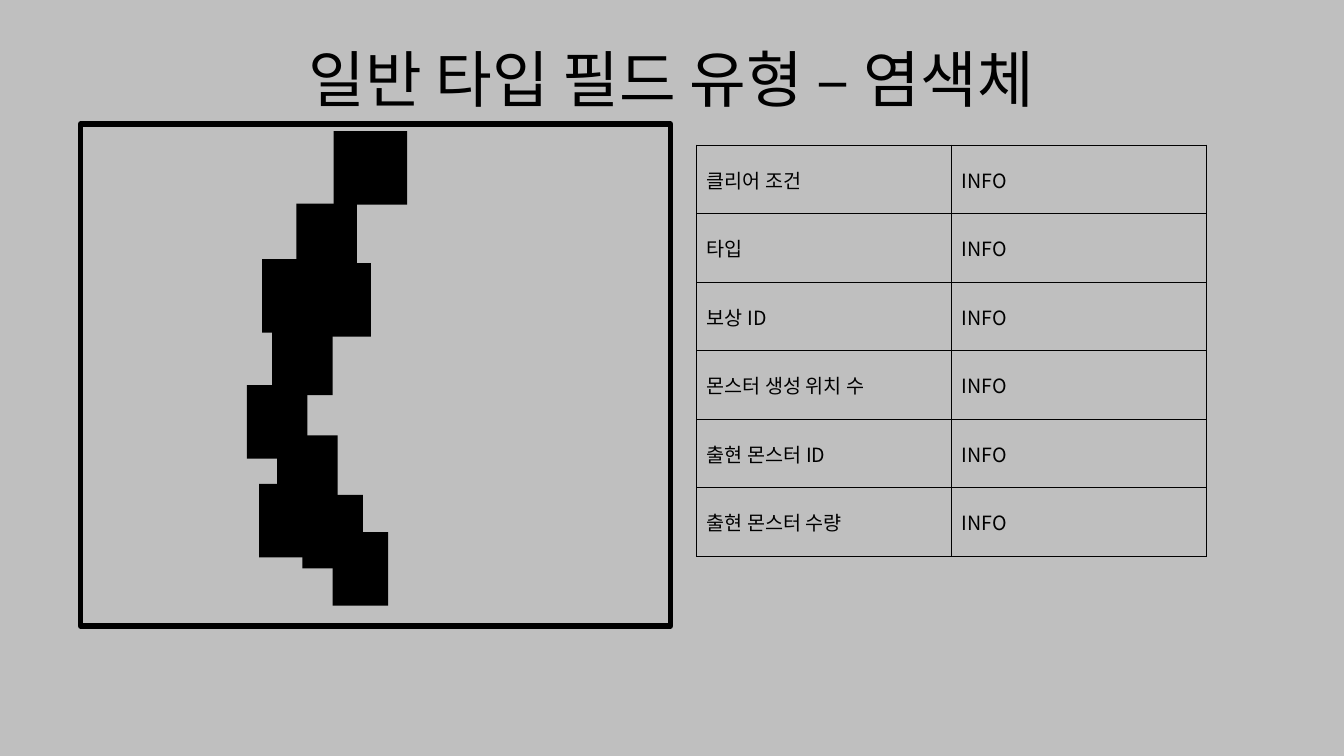
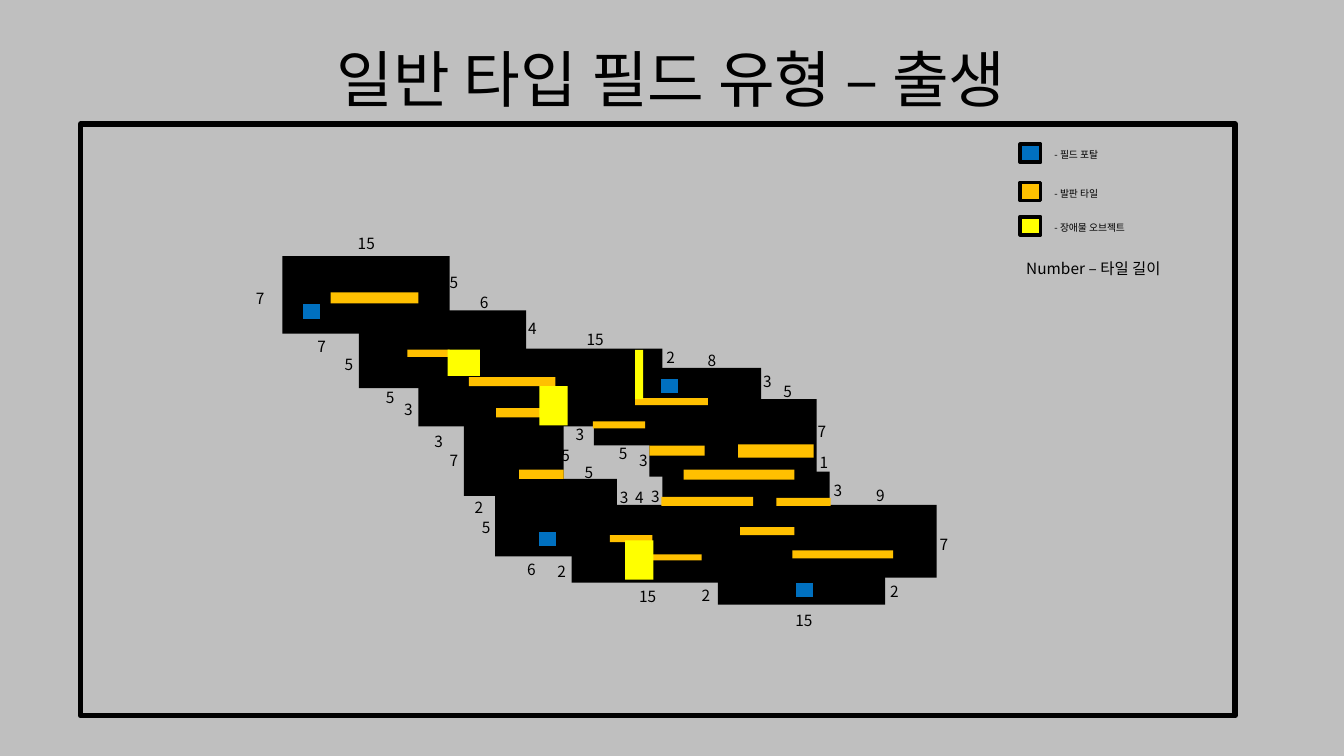
from lxml import etree
from pptx import Presentation
from pptx.dml.color import RGBColor
from pptx.enum import shapes, text
from pptx.oxml import ns
from pptx.util import Inches, Pt

FONT = "Noto Sans CJK KR"
BACKGROUND = "BFBFBF"
BLACK = "000000"
PORTAL = "0070C0"
PLATFORM = "FFC000"
OBSTACLE = "FFFF00"
PORTAL_SIZE = (0.2, 0.18)
TITLE_PREFIX = "일반 타입 필드 유형 – "

FIELD_INFO = ["클리어 조건", "타입", "보상 ID", "몬스터 생성 위치 수", "출현 몬스터 ID", "출현 몬스터 수량"]

CHROMOSOME_ROOMS = [
    (3.31, 1.3, 0.73, 0.73), (2.94, 2.02, 0.6, 0.73), (3.08, 2.61, 0.6, 0.73),
    (2.7, 3.19, 0.6, 0.73), (2.45, 3.82, 0.6, 0.73), (2.75, 4.32, 0.6, 0.73),
    (3, 4.91, 0.6, 0.73), (3.3, 5.28, 0.55, 0.73), (2.6, 2.57, 0.55, 0.73),
    (2.57, 4.8, 0.6, 0.73),
]
BIRTH_ROOMS = [
    (2.8, 2.54, 1.66, 0.77), (3.56, 3.08, 1.66, 0.77), (4.6, 4.15, 0.99, 0.77),
    (4.15, 3.46, 2.42, 0.77), (5.67, 5.01, 1.66, 0.77), (6.44, 3.96, 1.66, 0.77),
    (6.57, 4.68, 1.66, 0.77), (7.12, 5.23, 1.66, 0.77), (7.63, 5.01, 1.66, 0.72),
    (5.89, 3.65, 1.66, 0.77), (4.91, 4.75, 1.21, 0.77),
]
PLATFORMS = [
    (6.3, 3.95, 0.72, 0.07), (6.44, 4.42, 0.55, 0.1), (6.78, 4.66, 1.1, 0.1),
    (6.56, 4.93, 0.91, 0.09), (7.32, 4.41, 0.75, 0.13), (7.7, 4.94, 0.54, 0.08),
    (7.34, 5.23, 0.54, 0.08), (5.88, 4.18, 0.52, 0.07), (4.92, 4.05, 0.44, 0.09),
    (4.04, 3.47, 0.42, 0.07), (4.65, 3.74, 0.86, 0.09), (6.05, 5.31, 0.42, 0.07),
    (6.46, 5.5, 0.5, 0.06), (3.28, 2.9, 0.87, 0.11), (5.15, 4.66, 0.44, 0.09),
    (7.86, 5.46, 1, 0.08),
]
OBSTACLES = [
    (6.3, 3.47, 0.08, 0.49), (5.35, 3.83, 0.28, 0.39),
    (6.2, 5.36, 0.28, 0.39), (4.44, 3.47, 0.32, 0.26),
]
PORTALS = [(6.54, 3.74), (2.99, 3), (7.88, 5.76), (5.33, 5.26)]
LEGEND = [
    (1.43, PORTAL, "- 필드 포탈"),
    (1.81, PLATFORM, "- 발판 타일"),
    (2.15, OBSTACLE, "- 장애물 오브젝트"),
]
TILE_LENGTHS = {
    "1": [(8.03, 4.45)],
    "2": [(4.61, 4.89), (5.43, 5.53), (6.86, 5.77), (8.73, 5.73), (6.51, 3.4)],
    "3": [(3.91, 3.92), (4.21, 4.24), (8.17, 4.72), (6.36, 4.78), (6.05, 4.79),
          (6.24, 4.43), (5.61, 4.17), (7.47, 3.64)],
    "4": [(6.2, 4.79), (5.14, 3.12)],
    "5": [(4.36, 2.66), (3.32, 3.47), (3.73, 3.8), (4.68, 5.09), (5.7, 4.54),
          (6.04, 4.36), (5.47, 4.38), (7.67, 3.74)],
    "6": [(4.66, 2.86), (5.13, 5.51)],
    "7": [(2.44, 2.82), (3.05, 3.3), (4.36, 4.43), (9.22, 5.26), (8.01, 4.14)],
    "8": [(6.92, 3.43)],
    "9": [(8.59, 4.77)],
    "15": [(3.45, 2.27), (5.72, 3.23), (6.24, 5.78), (7.79, 6.01)],
}


def color(value):
    return RGBColor.from_string(value)


def add_run(paragraph, content, size):
    run = paragraph.add_run()
    run.text = content
    run.font.size = Pt(size)
    run.font.name = FONT
    run.font.color.rgb = color(BLACK)
    east_asian = etree.SubElement(run._r.get_or_add_rPr(), ns.qn("a:ea"))
    east_asian.set("typeface", FONT)


def add_text(slide, box, content, size, wrap=True):
    shape = slide.shapes.add_textbox(*map(Inches, box))
    frame = shape.text_frame
    frame.word_wrap = wrap
    add_run(frame.paragraphs[0], content, size)
    return frame


def add_title(slide, content):
    frame = add_text(slide, (0.29, 0.2, 12.74, 1.24), content, 44)
    frame.vertical_anchor = text.MSO_ANCHOR.MIDDLE
    frame.paragraphs[0].alignment = text.PP_ALIGN.CENTER
    frame.paragraphs[0].line_spacing = 0.9


def add_rectangle(slide, box, fill=None, line_width=None):
    shape = slide.shapes.add_shape(shapes.MSO_SHAPE.RECTANGLE, *map(Inches, box))
    shape.shadow.inherit = False
    if fill:
        shape.fill.solid()
        shape.fill.fore_color.rgb = color(fill)
    else:
        shape.fill.background()
    if line_width:
        shape.line.color.rgb = color(BLACK)
        shape.line.width = Pt(line_width)
    else:
        shape.line.fill.background()


def add_rectangles(slide, boxes, fill):
    for box in boxes:
        add_rectangle(slide, box, fill)


def add_marker(slide, position, fill):
    add_rectangle(slide, (*position, *PORTAL_SIZE), fill, 2.75)


def set_cell_borders(cell):
    properties = cell._tc.get_or_add_tcPr()
    for index, side in enumerate(("a:lnL", "a:lnR", "a:lnT", "a:lnB")):
        line = etree.Element(ns.qn(side), w=str(Pt(1)))
        fill = etree.SubElement(line, ns.qn("a:solidFill"))
        etree.SubElement(fill, ns.qn("a:srgbClr"), val=BLACK)
        properties.insert(index, line)


def add_info_table(slide, labels):
    box = map(Inches, (6.91, 1.44, 5.06, 0.68 * len(labels)))
    table = slide.shapes.add_table(len(labels), 2, *box).table
    table.first_row = False
    table.horz_banding = False
    for row, label in zip(table.rows, labels):
        for cell, content in zip(row.cells, (label, "INFO")):
            cell.fill.background()
            cell.vertical_anchor = text.MSO_ANCHOR.MIDDLE
            add_run(cell.text_frame.paragraphs[0], content, 14)
            set_cell_borders(cell)


def add_legend(slide):
    for top, fill, label in LEGEND:
        add_marker(slide, (10.12, top), fill)
        add_text(slide, (10.36, top, 1.61, 0.22), label, 7)
    add_text(slide, (10.08, 2.52, 1.63, 0.29), "Number – 타일 길이", 11, wrap=False)


def add_tile_lengths(slide):
    for number, positions in TILE_LENGTHS.items():
        width = 0.21 + 0.08 * len(number)
        for left, top in positions:
            add_text(slide, (left, top, width, 0.29), number, 11, wrap=False)


def add_field_slide(presentation, name, rooms, frame_size):
    slide = presentation.slides.add_slide(presentation.slide_layouts[6])
    slide.background.fill.solid()
    slide.background.fill.fore_color.rgb = color(BACKGROUND)
    add_title(slide, TITLE_PREFIX + name)
    add_rectangle(slide, (0.8, 1.23, *frame_size), line_width=4)
    add_rectangles(slide, rooms, BLACK)
    return slide


def main():
    presentation = Presentation()
    presentation.slide_width = Inches(13.33)
    presentation.slide_height = Inches(7.5)

    chromosome = add_field_slide(presentation, "염색체", CHROMOSOME_ROOMS, (5.85, 4.98))
    add_info_table(chromosome, FIELD_INFO)

    birth = add_field_slide(presentation, "출생", BIRTH_ROOMS, (11.45, 5.87))
    add_legend(birth)
    add_rectangles(birth, PLATFORMS, PLATFORM)
    add_rectangles(birth, OBSTACLES, OBSTACLE)
    for position in PORTALS:
        add_marker(birth, position, PORTAL)
    add_tile_lengths(birth)

    presentation.save("out.pptx")


if __name__ == "__main__":
    main()
